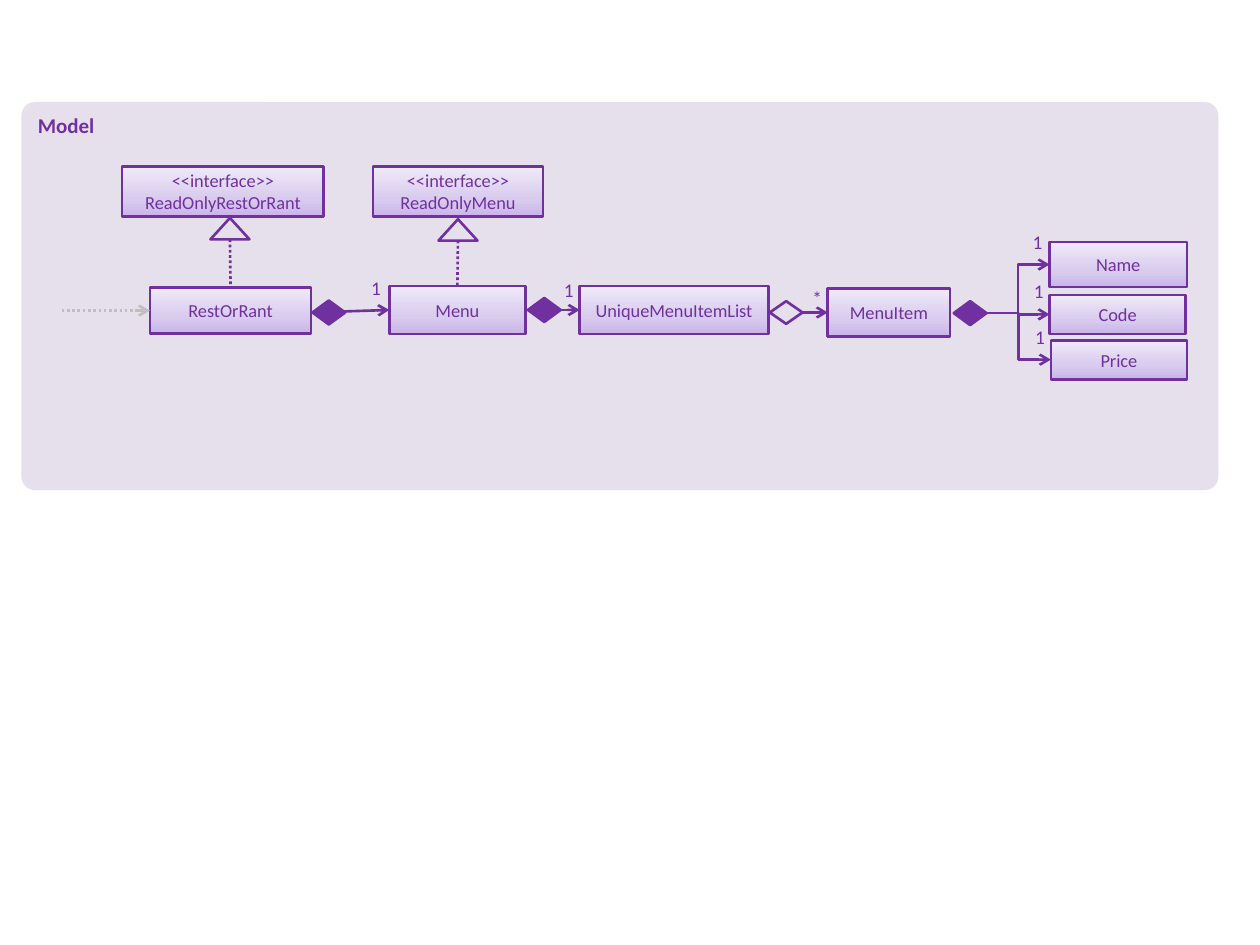
from copy import deepcopy
from typing import NamedTuple, Optional

from lxml import etree
from pptx import Presentation
from pptx import util as u
from pptx.dml.color import RGBColor
from pptx.enum import dml, shapes, text
from pptx.oxml.ns import qn

# Grid: positions below are columns and rows of a tenth of an inch.
CELL = u.Inches(0.1)
COLS, ROWS = 100, 75

PURPLE = RGBColor(0x70, 0x30, 0xA0)
LAVENDER = RGBColor(0xE6, 0xE0, 0xEC)
GREY = RGBColor(0xBF, 0xBF, 0xBF)
BOX_GRADIENT = (
    (0, RGBColor(0xC9, 0xB5, 0xE8)),
    (0.35, RGBColor(0xD8, 0xCB, 0xEE)),
    (1, RGBColor(0xF0, 0xEA, 0xF9)),
)
KIND = shapes.MSO_SHAPE
STRAIGHT, ELBOW = shapes.MSO_CONNECTOR.STRAIGHT, shapes.MSO_CONNECTOR.ELBOW
TOP, LEFT, BOTTOM, RIGHT = range(4)
LINE_WIDTH = u.Pt(1.5)


class Area(NamedTuple):
    col: float
    row: float
    cols: float
    rows: float


class Link(NamedTuple):
    """A line from a side of one part to a side of another."""
    start: str
    start_side: int
    end: str
    kind: int = STRAIGHT


INTERFACES = {
    "ReadOnlyRestOrRant": Area(9.7, 13.2, 16, 4),
    "ReadOnlyMenu": Area(29.6, 13.2, 13.5, 4),
}
CLASSES = {
    "RestOrRant": Area(11.9, 22.8, 12.8, 3.7),
    "Menu": Area(30.9, 22.7, 10.8, 3.8),
    "UniqueMenuItemList": Area(46, 22.7, 15, 3.8),
    "MenuItem": Area(65.7, 22.9, 9.7, 3.8),
    "Name": Area(83.3, 19.2, 10.9, 3.6),
    "Code": Area(83.3, 23.4, 10.8, 3.1),
    "Price": Area(83.4, 27, 10.8, 3.1),
}
DIAMONDS = {
    "RestOrRant owns": Area(24.8, 23.85, 2.6, 1.9),
    "Menu owns": Area(41.9, 23.65, 2.6, 1.9),
    "List holds": Area(61.1, 23.9, 2.6, 1.8),
    "MenuItem owns": Area(75.7, 23.9, 2.6, 1.9),
}
HOLLOW = "List holds"
TRIANGLES = {
    "RestOrRant": Area(16.7, 17.3, 3.1, 1.7),
    "Menu": Area(34.8, 17.4, 3.1, 1.7),
}
LINKS = (
    Link("RestOrRant owns", LEFT, "Menu"),
    Link("Menu owns", LEFT, "UniqueMenuItemList"),
    Link("List holds", RIGHT, "MenuItem"),
    *(Link("MenuItem owns", RIGHT, part, ELBOW)
      for part in ("Name", "Code", "Price")),
)
MULTIPLICITIES = (
    ("1", 28.8, 21.9),
    ("1", 44.1, 22.1),
    ("*", 63.8, 22.7),
    ("1", 81.3, 18.3),
    ("1", 81.4, 22.2),
    ("1", 81.5, 25.8),
)


def grid(*cells: float) -> list:
    return [u.Emu(round(n * CELL)) for n in cells]


def write(sp, words: str, size: float = 10.5, bold: bool = False,
          align=text.PP_ALIGN.CENTER, anchor=text.MSO_ANCHOR.MIDDLE) -> None:
    tf = sp.text_frame
    tf.word_wrap = True
    tf.vertical_anchor = anchor
    p = tf.paragraphs[0]
    p.text = words
    p.alignment = align
    for r in p.runs:
        r.font.name = "Calibri"
        r.font.size = u.Pt(size)
        r.font.bold = bold
        r.font.color.rgb = PURPLE


def add_shape(s, kind, area: Area, fill: Optional[RGBColor] = None,
              outlined: bool = True):
    sp = s.shapes.add_shape(kind, *grid(*area))
    sp.shadow.inherit = False
    if fill is None:
        sp.fill.background()
    else:
        sp.fill.solid()
        sp.fill.fore_color.rgb = fill
    if outlined:
        sp.line.color.rgb = PURPLE
        sp.line.width = LINE_WIDTH
    else:
        sp.line.fill.background()
    return sp


def add_box(s, area: Area, words: str):
    sp = add_shape(s, KIND.RECTANGLE, area)
    sp.fill.gradient()
    sp.fill.gradient_angle = 90
    stops = sp._element.spPr.find(".//" + qn("a:gsLst"))
    stops.append(deepcopy(stops[-1]))
    for stop, (position, color) in zip(sp.fill.gradient_stops, BOX_GRADIENT):
        stop.position = position
        stop.color.rgb = color
    write(sp, words)
    return sp


def add_line(s, start: tuple, end, end_side: int, kind: int = STRAIGHT,
             color: RGBColor = PURPLE, dotted: bool = False,
             arrow: bool = True):
    """Draw a line from a grid point to the middle of a part's side."""
    cx = s.shapes.add_connector(kind, *grid(*start), *grid(*start))
    cx.end_connect(end, end_side)
    cx.line.color.rgb = color
    cx.line.width = LINE_WIDTH
    if dotted:
        cx.line.dash_style = dml.MSO_LINE.ROUND_DOT
    if arrow:
        etree.SubElement(cx.line._get_or_add_ln(), qn("a:tailEnd"), type="arrow")
    etree.SubElement(cx._element.spPr, qn("a:effectLst"))
    return cx


def add_label(s, words: str, col: float, row: float) -> None:
    sp = s.shapes.add_textbox(*grid(col, row, 2.1, 2))
    tf = sp.text_frame
    tf.margin_left = tf.margin_right = tf.margin_top = tf.margin_bottom = 0
    write(sp, words, size=11, anchor=text.MSO_ANCHOR.TOP)


def main() -> None:
    prs = Presentation()
    prs.slide_width, prs.slide_height = grid(COLS, ROWS)
    s = prs.slides.add_slide(prs.slide_layouts[6])

    panel = add_shape(s, KIND.ROUNDED_RECTANGLE, Area(1.7, 8.1, 95, 30.8),
                      LAVENDER, outlined=False)
    panel.adjustments[0] = 0.035
    write(panel, "Model", size=12, bold=True, align=text.PP_ALIGN.LEFT,
          anchor=text.MSO_ANCHOR.TOP)

    for name, area in INTERFACES.items():
        add_box(s, area, f"<<interface>>\n{name}")
    parts = {name: add_box(s, area, name) for name, area in CLASSES.items()}
    for name, area in DIAMONDS.items():
        parts[name] = add_shape(s, KIND.FLOWCHART_DECISION, area,
                                None if name == HOLLOW else PURPLE)

    for name, area in TRIANGLES.items():
        base = (area.col + area.cols / 2, area.row + area.rows)
        add_line(s, base, parts[name], TOP, dotted=True, arrow=False)
        add_shape(s, KIND.ISOSCELES_TRIANGLE, area, LAVENDER)

    add_line(s, (4.9, 24.65), parts["RestOrRant"], LEFT, color=GREY, dotted=True)
    for link in LINKS:
        cx = add_line(s, (0, 0), parts[link.end], LEFT, link.kind)
        cx.begin_connect(parts[link.start], link.start_side)
    for label in MULTIPLICITIES:
        add_label(s, *label)

    prs.save("out.pptx")


if __name__ == "__main__":
    main()
